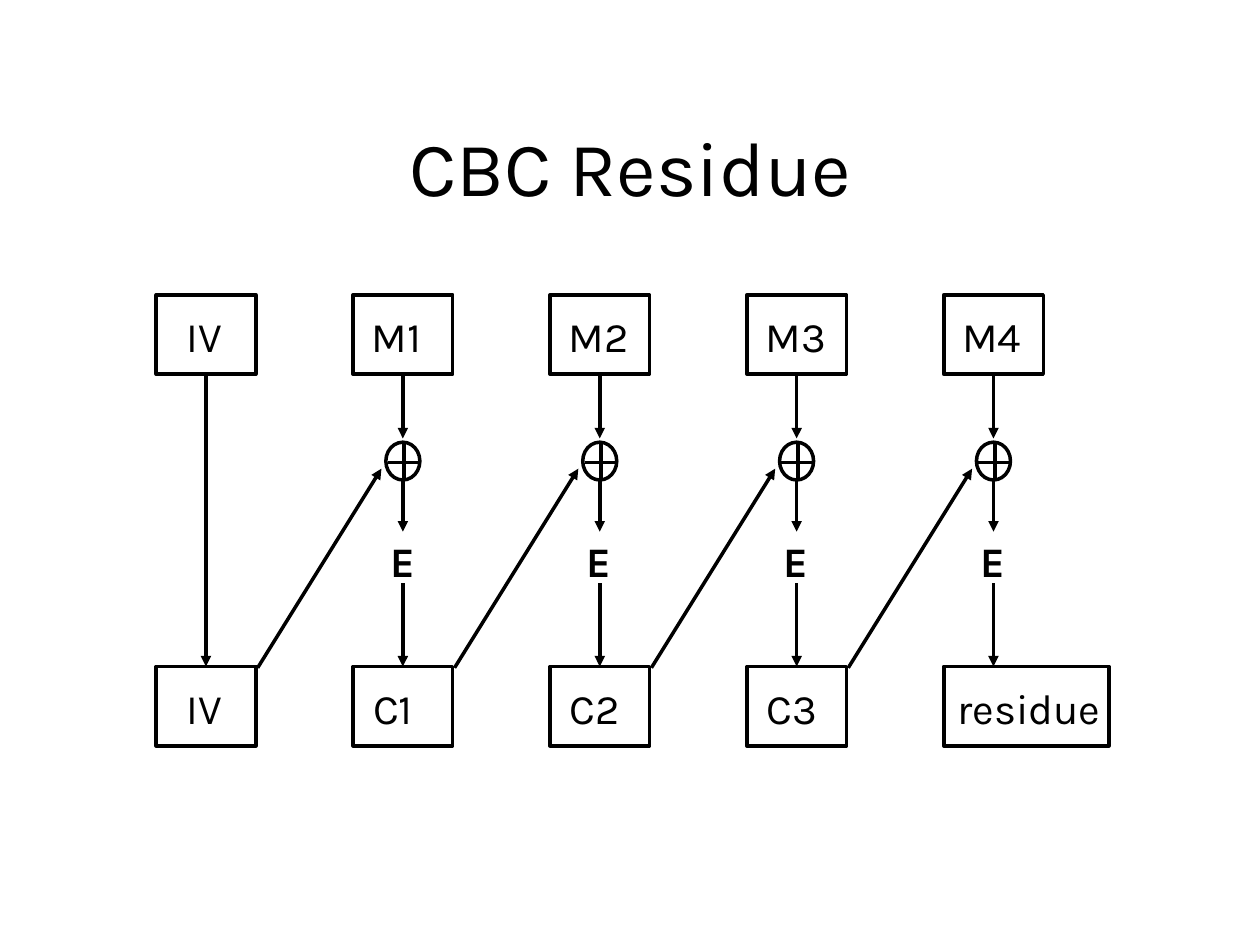
from lxml import etree
from pptx import Presentation
from pptx.dml.color import RGBColor
from pptx.enum.shapes import MSO_CONNECTOR, MSO_SHAPE
from pptx.enum.text import MSO_ANCHOR, MSO_AUTO_SIZE, PP_ALIGN
from pptx.oxml.ns import qn
from pptx.util import Inches, Pt

STRAIGHT = MSO_CONNECTOR.STRAIGHT
BLOCK = MSO_SHAPE.ROUNDED_RECTANGLE
OVAL = MSO_SHAPE.OVAL
CENTER = PP_ALIGN.CENTER
LEFT = PP_ALIGN.LEFT
MIDDLE = MSO_ANCHOR.MIDDLE
TOP = MSO_ANCHOR.TOP
GROW = MSO_AUTO_SIZE.SHAPE_TO_FIT_TEXT
FIXED = MSO_AUTO_SIZE.NONE
BLACK = RGBColor(0x00, 0x00, 0x00)
WHITE = RGBColor(0xFF, 0xFF, 0xFF)

FIRST_LEFT = 1.24
PITCH = 6.25 / 4
BLOCK_W, BLOCK_H = 0.79, 0.63
RESIDUE_W = 1.31
PLAIN_TOP, CIPHER_TOP = 2.34, 5.29
XOR_Y = 3.66
XOR_W, XOR_H = 0.27, 0.3
E_TOP = 4.2
LABEL_H = 0.51
LABEL_DROP = 0.07

PLAIN = ["IV", "M1", "M2", "M3", "M4"]
CIPHER = ["IV", "C1", "C2", "C3", "residue"]
LABEL_BOX = {"I": (0.14, 0.52), "M": (0.05, 0.7), "C": (0.06, 0.6), "r": (0.01, 1.37)}


def add_label(words, left, top, width, height=LABEL_H, size=24, bold=False):
    is_title = size > 24
    label = slide.shapes.add_textbox(Inches(left), Inches(top), Inches(width), Inches(height))
    frame = label.text_frame
    frame.word_wrap = is_title
    frame.auto_size = FIXED if is_title else GROW
    frame.vertical_anchor = MIDDLE if is_title else TOP
    paragraph = frame.paragraphs[0]
    paragraph.alignment = CENTER if is_title else LEFT
    paragraph.line_spacing = 1.01
    run = paragraph.add_run()
    run.text = words
    run.font.name = "Karla"
    run.font.size = Pt(size)
    run.font.bold = bold
    run.font.color.rgb = BLACK


def add_line(shapes, x1, y1, x2, y2, arrow=True):
    line = shapes.add_connector(STRAIGHT, Inches(x1), Inches(y1), Inches(x2), Inches(y2))
    line.line.color.rgb = BLACK
    line.line.width = Pt(2)
    if arrow:
        etree.SubElement(line.line._get_or_add_ln(), qn("a:tailEnd"), type="triangle")
    etree.SubElement(line._element.spPr, qn("a:effectLst"))
    return line


prs = Presentation()
prs.slide_width = Inches(10)
prs.slide_height = Inches(7.5)
slide = prs.slides.add_slide(prs.slide_layouts[6])
slide.background.fill.solid()
slide.background.fill.fore_color.rgb = WHITE

add_label("CBC Residue", 0.81, 0.7, 8.39, 1.23, size=44)

blocks = {}
for row_top, names in ((PLAIN_TOP, PLAIN), (CIPHER_TOP, CIPHER)):
    for col, name in enumerate(names):
        left = FIRST_LEFT + col * PITCH
        width = RESIDUE_W if name == "residue" else BLOCK_W
        block = slide.shapes.add_shape(
            BLOCK, Inches(left), Inches(row_top), Inches(width), Inches(BLOCK_H))
        block.adjustments[0] = 0
        block.shadow.inherit = False
        block.fill.solid()
        block.fill.fore_color.rgb = WHITE
        block.line.color.rgb = BLACK
        block.line.width = Pt(2)
        blocks[row_top, col] = block
        inset, label_w = LABEL_BOX[name[0]]
        add_label(name, left + inset, row_top + LABEL_DROP, label_w)

for col in range(1, len(PLAIN)):
    center = FIRST_LEFT + BLOCK_W / 2 + col * PITCH

    xor = slide.shapes.add_group_shape()
    add_line(xor.shapes, center - 0.12, XOR_Y + 0.01, center + 0.12, XOR_Y + 0.01, arrow=False)
    add_line(xor.shapes, center + 0.01, XOR_Y + 0.13, center + 0.01, XOR_Y - 0.14, arrow=False)
    ring = xor.shapes.add_shape(
        OVAL, Inches(center - XOR_W / 2), Inches(XOR_Y - XOR_H / 2), Inches(XOR_W), Inches(XOR_H))
    ring.shadow.inherit = False
    ring.fill.background()
    ring.line.color.rgb = BLACK
    ring.line.width = Pt(2)

    into_xor = add_line(slide.shapes, center, PLAIN_TOP + BLOCK_H, center, XOR_Y - 0.18)
    into_xor.begin_connect(blocks[PLAIN_TOP, col], 2)
    add_label("E", center - 0.2, E_TOP, 0.39, bold=True)
    add_line(slide.shapes, center, XOR_Y + XOR_H / 2, center, E_TOP + 0.02)
    out_of_e = add_line(slide.shapes, center, E_TOP + 0.43, center, CIPHER_TOP)
    if CIPHER[col] != "residue":
        out_of_e.end_connect(blocks[CIPHER_TOP, col], 0)
    add_line(slide.shapes, center - PITCH + 0.41, CIPHER_TOP + 0.01, center - 0.17, XOR_Y + 0.06)

iv_center = FIRST_LEFT + BLOCK_W / 2
iv_copy = add_line(slide.shapes, iv_center, PLAIN_TOP + BLOCK_H, iv_center, CIPHER_TOP)
iv_copy.begin_connect(blocks[PLAIN_TOP, 0], 2)
iv_copy.end_connect(blocks[CIPHER_TOP, 0], 0)

prs.save("out.pptx")
